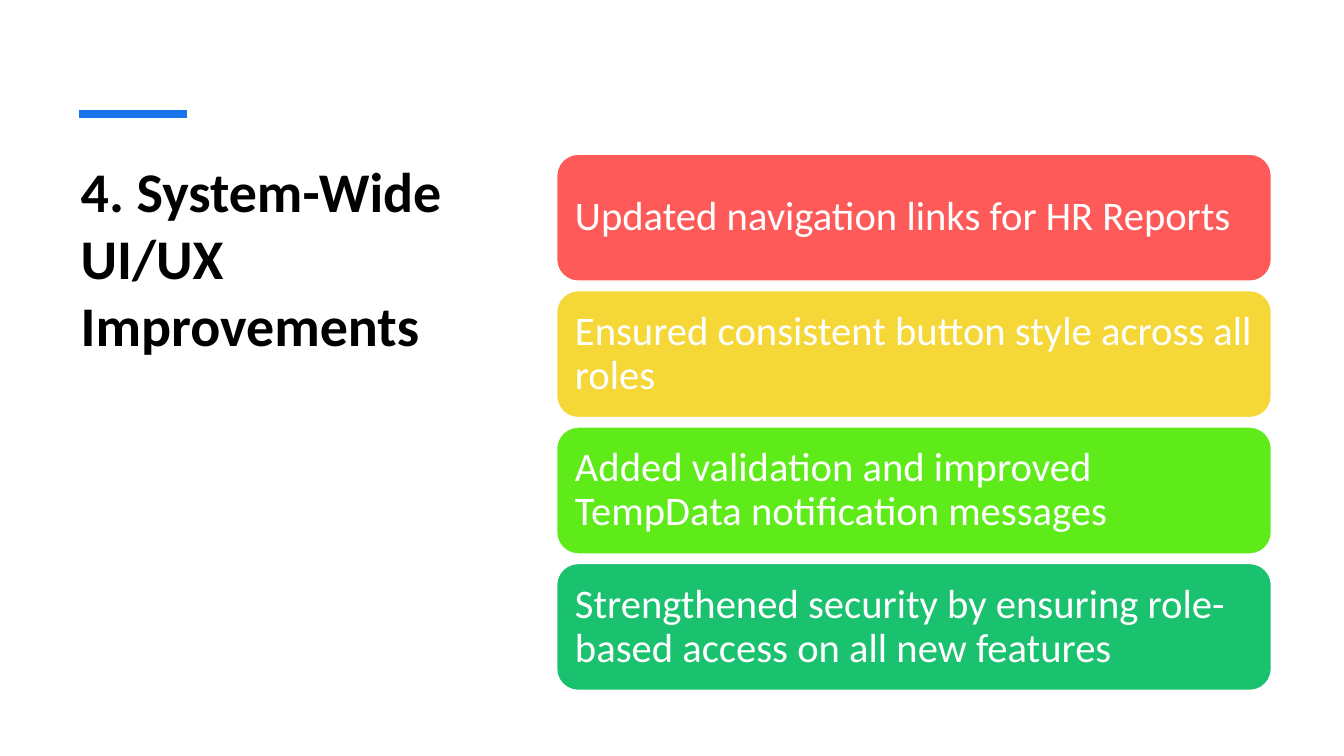
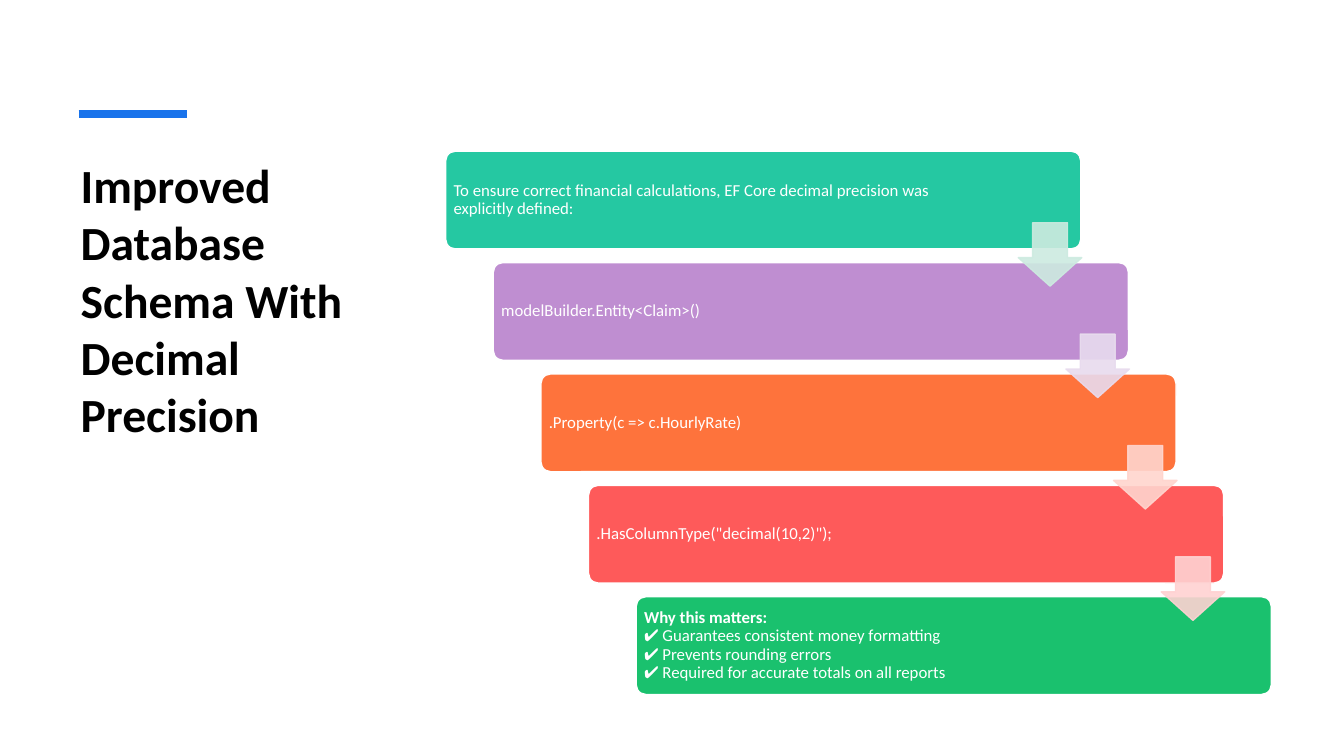
from lxml.etree import SubElement
from pptx import Presentation
from pptx.dml.color import RGBColor
from pptx.enum.shapes import MSO_CONNECTOR, MSO_SHAPE
from pptx.enum.text import MSO_ANCHOR, MSO_AUTO_SIZE, PP_ALIGN
from pptx.oxml.ns import qn
from pptx.util import Pt

PX = 9144
FONT = "Calibri"
COLORS = {
    "ink": "000000", "white": "FFFFFF", "blue": "1973EB",
    "red": "FE5A5A", "yellow": "F6D738", "lime": "5FEB1A",
    "green": "1AC16E", "teal": "25C8A2", "purple": "BF8ED1",
    "orange": "FE733C", "mint": "CDEBE0", "lilac": "E8DBEE",
    "peach": "FFD5CE", "pink": "FFD2D2",
}

CARDS = {
    "title": "4. System-Wide UI/UX Improvements",
    "size": 40,
    "area": (70, 150, 402, 429),
    "items": [
        ("red", ["Updated navigation links for HR Reports"]),
        ("yellow", ["Ensured consistent button style across all roles"]),
        ("lime", ["Added validation and improved TempData notification messages"]),
        ("green", ["Strengthened security by ensuring role-based access on all new features"]),
    ],
    "first": (552, 153),
    "last": (552, 559),
    "box": (709, 126),
    "round": 0.17,
    "text": 29,
    "pad": (12, 12),
    "arrows": [],
}

STEPS = {
    "title": "Improved Database Schema With Decimal Precision",
    "size": 34,
    "area": (70, 150, 290, 454),
    "items": [
        ("teal", ["To ensure correct financial calculations, EF Core decimal precision was explicitly defined:"]),
        ("purple", ["modelBuilder.Entity<Claim>()"]),
        ("orange", [".Property(c => c.HourlyRate)"]),
        ("red", ['.HasColumnType("decimal(10,2)");']),
        ("green", [
            "Why this matters:",
            "✔ Guarantees consistent money formatting",
            "✔ Prevents rounding errors",
            "✔ Required for accurate totals on all reports",
        ]),
    ],
    "first": (442, 150),
    "last": (631, 592),
    "box": (630, 97),
    "round": 0.1,
    "text": 12,
    "pad": (5, 115),
    "arrows": ["mint", "lilac", "peach", "pink"],
}

ARROW = {"shift": (568, 71), "side": 63, "adjust": (0.55, 0.45), "alpha": 90}
BAR = (78, 113, 185, 113)


def px(*vals):
    return [round(v * PX) for v in vals]


def rgb(name):
    return RGBColor.from_string(COLORS[name])


def setup(part, vals):
    for key, val in vals.items():
        setattr(part, key, val)


def write(frame, lines, size, color, bold, space):
    for i, line in enumerate(lines):
        para = frame.paragraphs[0] if i == 0 else frame.add_paragraph()
        setup(para, {"alignment": PP_ALIGN.LEFT, "line_spacing": space})
        run = para.add_run()
        run.text = line
        strong = bold or (i == 0 and len(lines) > 1)
        setup(run.font, {"name": FONT, "size": Pt(size), "bold": strong})
        run.font.color.rgb = rgb(color)


def shape(slide, kind, place, fill, edge, adjust):
    item = slide.shapes.add_shape(kind, *px(*place))
    item.shadow.inherit = False
    item.fill.solid()
    item.fill.fore_color.rgb = rgb(fill)
    item.line.color.rgb = rgb(edge)
    item.line.width = Pt(1)
    for i, val in enumerate(adjust):
        item.adjustments[i] = val
    return item


def fade(item, alpha):
    for node in item._element.spPr.iter(qn("a:srgbClr")):
        SubElement(node, qn("a:alpha")).set("val", str(alpha * 1000))


def head(slide, data):
    title = slide.shapes.title
    setup(title, dict(zip(("left", "top", "width", "height"), px(*data["area"]))))
    frame = title.text_frame
    setup(frame, {
        "word_wrap": True,
        "auto_size": MSO_AUTO_SIZE.NONE,
        "vertical_anchor": MSO_ANCHOR.TOP,
    })
    write(frame, [data["title"]], data["size"], "ink", True, 1.0)
    bar = slide.shapes.add_connector(MSO_CONNECTOR.STRAIGHT, *px(*BAR))
    bar.line.color.rgb = rgb("blue")
    bar.line.width = Pt(6)
    SubElement(bar._element.spPr, qn("a:effectLst"))


def build(deck, data):
    slide = deck.slides.add_slide(deck.slide_layouts[5])
    head(slide, data)
    gaps = len(data["items"]) - 1
    spots = [
        [a + (b - a) * i / gaps for a, b in zip(data["first"], data["last"])]
        for i in range(gaps + 1)
    ]
    pad, right = px(*data["pad"])
    for (x, y), (fill, lines) in zip(spots, data["items"]):
        box = shape(slide, MSO_SHAPE.ROUNDED_RECTANGLE, (x, y, *data["box"]),
                    fill, "white", [data["round"]])
        setup(box.text_frame, {
            "word_wrap": True,
            "vertical_anchor": MSO_ANCHOR.MIDDLE,
            "margin_left": pad, "margin_top": pad,
            "margin_bottom": pad, "margin_right": right,
        })
        write(box.text_frame, lines, data["text"], "white", False, 0.9)
    dx, dy = ARROW["shift"]
    side = ARROW["side"]
    for (x, y), tint in zip(spots, data["arrows"]):
        arrow = shape(slide, MSO_SHAPE.DOWN_ARROW, (x + dx, y + dy, side, side),
                      tint, tint, ARROW["adjust"])
        fade(arrow, ARROW["alpha"])


def main():
    deck = Presentation()
    deck.slide_width, deck.slide_height = px(1333, 750)
    for data in (CARDS, STEPS):
        build(deck, data)
    deck.save("out.pptx")


if __name__ == "__main__":
    main()
